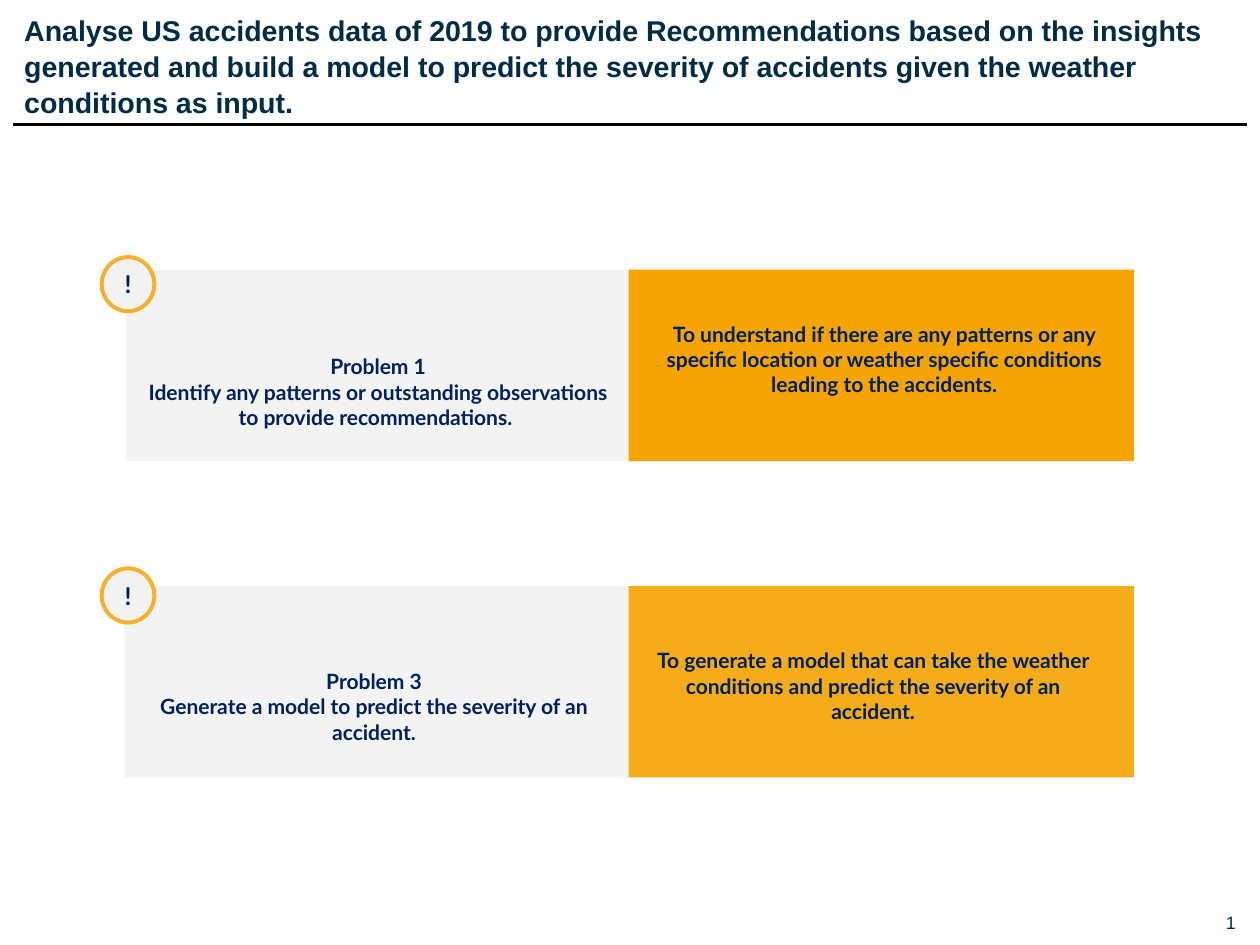
from lxml.etree import SubElement
from pptx import Presentation
from pptx.dml.color import RGBColor
from pptx.enum.shapes import MSO_CONNECTOR as CONNECTOR, MSO_SHAPE as SHAPE
from pptx.enum.text import MSO_ANCHOR as ANCHOR, PP_ALIGN as ALIGN
from pptx.oxml.ns import qn
from pptx.util import Cm, Pt

INK, NAVY = "002C46", "002060"
GREY, AMBER, RING = "F2F2F2", "F6A401", "F5AF31"
CARD_W, CARD_H = 9.98, 3.78
GOAL_LEFT, TEXT_W = 12.42, 9.6


def rgb(value):
    return RGBColor.from_string(value)


class SlideBuilder:
    heading_font = "Arial"
    body_font = "Lato"

    def __init__(self, slide):
        self.slide = slide

    def set_text(self, frame, paragraphs, size, font, color, bold=True,
                 align=ALIGN.CENTER, anchor=ANCHOR.TOP, margins=(0.25, 0.13), spacing=None):
        frame.word_wrap = True
        frame.vertical_anchor = anchor
        frame.margin_left = frame.margin_right = Cm(margins[0])
        frame.margin_top = frame.margin_bottom = Cm(margins[1])
        for i, text in enumerate(paragraphs):
            paragraph = frame.add_paragraph() if i else frame.paragraphs[0]
            paragraph.alignment = align
            paragraph.line_spacing = spacing
            run = paragraph.add_run()
            run.text = text
            run.font.size = Pt(size)
            run.font.name = font
            run.font.bold = bold
            run.font.color.rgb = rgb(color)

    def text(self, left, top, width, height, paragraphs, size=11.8,
             font=body_font, color=NAVY, **style):
        box = self.slide.shapes.add_textbox(Cm(left), Cm(top), Cm(width), Cm(height))
        self.set_text(box.text_frame, paragraphs, size, font, color, **style)

    def shape(self, kind, left, top, width, height, fill, opacity=100):
        shape = self.slide.shapes.add_shape(kind, Cm(left), Cm(top), Cm(width), Cm(height))
        shape.shadow.inherit = False
        shape.fill.solid()
        shape.fill.fore_color.rgb = rgb(fill)
        shape.line.fill.background()
        if opacity < 100:
            color = shape._element.spPr.find(qn("a:solidFill"))[0]
            SubElement(color, qn("a:alpha")).set("val", str(opacity * 1000))
        return shape

    def card(self, left, top, fill, opacity):
        self.shape(SHAPE.RECTANGLE, left, top, CARD_W, CARD_H, fill, opacity)

    def alert(self, left, top):
        """Ringed exclamation mark on the corner of a problem card."""
        badge = self.shape(SHAPE.OVAL, left, top, 1.04, 1.07, GREY)
        badge.line.color.rgb = rgb(RING)
        badge.line.width = Pt(2.25)
        self.set_text(badge.text_frame, ["!"], 13.7, self.body_font, NAVY,
                      anchor=ANCHOR.MIDDLE)

    def rule(self, left, right, y):
        line = self.slide.shapes.add_connector(
            CONNECTOR.STRAIGHT, Cm(left), Cm(y), Cm(right), Cm(y))
        line.line.color.rgb = rgb("000000")
        line.line.width = Pt(2)
        SubElement(line._element.spPr, qn("a:effectLst"))


# Each row: card top, problem left, badge top, goal opacity,
# then the (left, top) and paragraphs of the problem and of the goal
ROWS = [
    (5.33, 2.49, 5.08, 100,
     (2.67, 6.86), ["Problem 1",
                    "Identify any patterns or outstanding observations to provide recommendations. "],
     (12.67, 6.22), ["To understand if there are any patterns or any specific location "
                     "or weather specific conditions leading to the accidents."]),
    (11.58, 2.46, 11.23, 90,
     (2.59, 13.08), ["Problem 3",
                     "Generate a model to predict the severity of an accident."],
     (12.45, 12.67), ["To generate a model that can take the weather conditions "
                      "and predict the severity of an accident."]),
]


def main():
    deck = Presentation()
    deck.slide_width, deck.slide_height = Cm(24.89), Cm(18.67)
    page = SlideBuilder(deck.slides.add_slide(deck.slide_layouts[6]))
    heading = {"font": page.heading_font, "color": INK, "margins": (0, 0)}

    page.text(23.98, 18.01, 0.43, 0.43, ["1"], size=10, bold=False,
              align=ALIGN.RIGHT, anchor=ANCHOR.MIDDLE, **heading)
    page.rule(0.25, 24.64, 2.46)
    page.text(0.48, 0.23, 23.95, 2.06,
              ["Analyse US accidents data of 2019 to provide Recommendations based on the "
               "insights generated and build a model to predict the severity of accidents "
               "given the weather conditions as input."],
              size=16, align=ALIGN.LEFT, spacing=1.05, **heading)

    for top, left, badge_top, opacity, problem_at, problem, goal_at, goal in ROWS:
        page.card(left, top, GREY, 85)
        page.card(GOAL_LEFT, top, AMBER, opacity)
        page.alert(2.01, badge_top)
        page.text(*problem_at, TEXT_W, 1.75, problem)
        page.text(*goal_at, TEXT_W, 1.75, goal)

    deck.save("out.pptx")


if __name__ == "__main__":
    main()
